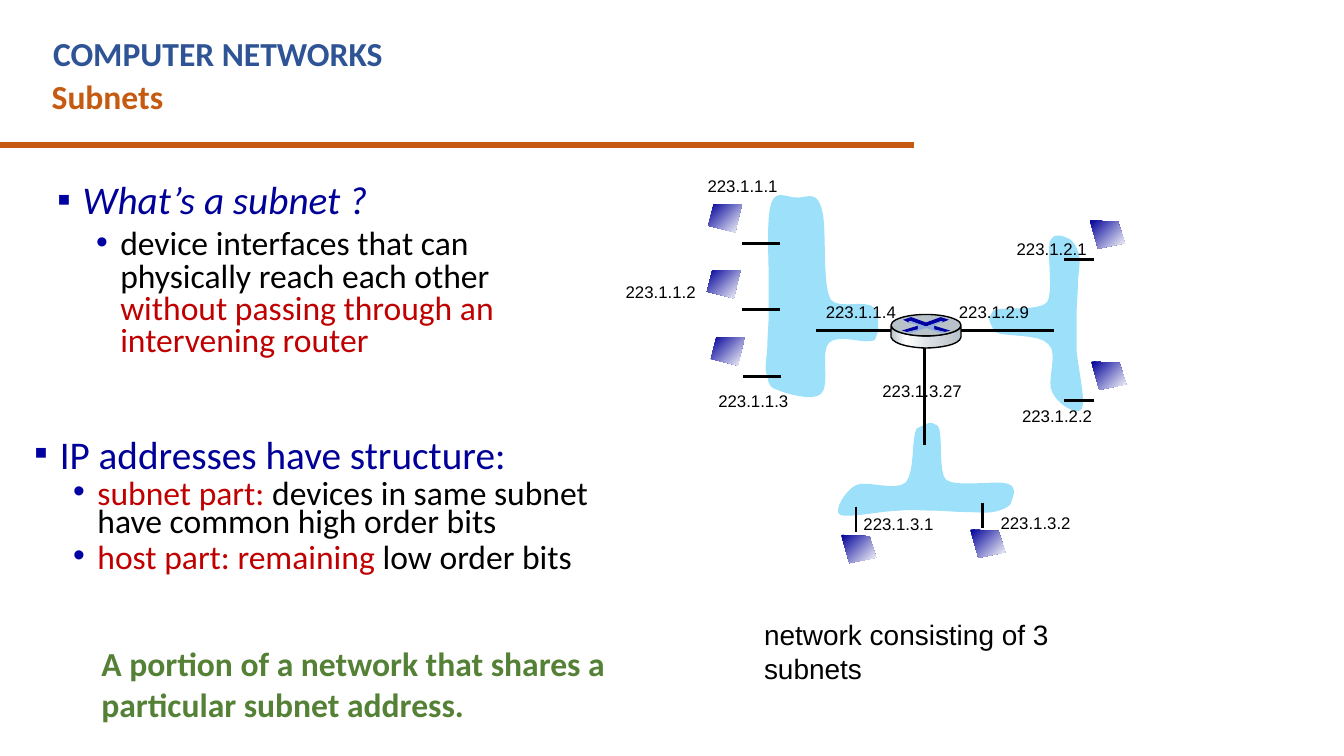
from lxml import etree
from pptx import Presentation
from pptx.dml.color import RGBColor
from pptx.enum.shapes import MSO_CONNECTOR, MSO_SHAPE
from pptx.oxml.ns import qn
from pptx.util import Cm, Pt

STRAIGHT = MSO_CONNECTOR.STRAIGHT
OVAL = MSO_SHAPE.OVAL

BLACK = RGBColor(0x00, 0x00, 0x00)
WHITE = RGBColor(0xFF, 0xFF, 0xFF)
ORANGE = RGBColor(0xC5, 0x5A, 0x11)
TITLE_BLUE = RGBColor(0x2F, 0x54, 0x96)
NAVY = RGBColor(0x00, 0x00, 0x99)
BULLET_BLUE = RGBColor(0x00, 0x00, 0xA3)
RED = RGBColor(0xC0, 0x00, 0x00)
GREEN = RGBColor(0x54, 0x81, 0x35)
SKY = RGBColor(0x9C, 0xE0, 0xFA)
STEEL = RGBColor(0xB8, 0xC2, 0xC9)
PALE_STEEL = RGBColor(0xD6, 0xDC, 0xE0)
SOFT_BLUE = RGBColor(0x8D, 0xA9, 0xDB)

HOST_GRADIENT = [(0, NAVY), (100, WHITE)]
ROUTER_GRADIENT = [(0, STEEL), (21, WHITE), (60, PALE_STEEL), (100, STEEL)]

# Subnet clouds: a start point, then three points for each Bezier curve
LEFT_CLOUD = [
    (1.53, 1.34), (1.51, 1.19), (1.25, 1.32), (1.18, 1.23),
    (1.11, 1.1), (1.16, 0.66), (1.11, 0.54), (1.07, 0.41), (0.99, 0.48), (0.92, 0.47),
    (0.86, 0.47), (0.77, 0.41), (0.74, 0.51), (0.7, 0.61), (0.72, 0.94), (0.72, 1.08),
    (0.72, 1.21), (0.72, 1.25), (0.72, 1.33), (0.72, 1.41), (0.71, 1.49), (0.71, 1.56),
    (0.71, 1.63), (0.69, 1.72), (0.7, 1.77), (0.72, 1.83), (0.71, 1.88), (0.78, 1.9),
    (0.85, 1.93), (1.05, 1.99), (1.11, 1.93), (1.18, 1.87), (1.1, 1.61), (1.17, 1.55),
    (1.24, 1.48), (1.45, 1.57), (1.51, 1.53), (1.53, 1.47), (1.54, 1.48), (1.53, 1.34)]
RIGHT_CLOUD = [
    (2.4, 1.47), (2.47, 1.51), (2.73, 1.48), (2.8, 1.56),
    (2.88, 1.63), (2.78, 1.84), (2.83, 1.92), (2.87, 2.01), (3.02, 2.1), (3.05, 2.04),
    (3.08, 1.99), (3.02, 1.72), (3.01, 1.61), (3.01, 1.49), (3.01, 1.43), (3.01, 1.35),
    (3.01, 1.27), (3.02, 1.19), (3.02, 1.12), (3.02, 1.05), (3.04, 0.96), (3.03, 0.91),
    (3.02, 0.85), (2.99, 0.8), (2.96, 0.78), (2.92, 0.76), (2.84, 0.72), (2.81, 0.8),
    (2.79, 0.88), (2.84, 1.19), (2.79, 1.25), (2.73, 1.32), (2.44, 1.28), (2.39, 1.31),
    (2.36, 1.38), (2.34, 1.35), (2.4, 1.47)]
BOTTOM_CLOUD = [
    (1.82, 2.19), (1.78, 2.26), (1.81, 2.51), (1.74, 2.59),
    (1.66, 2.66), (1.45, 2.57), (1.37, 2.61), (1.29, 2.65), (1.2, 2.8), (1.25, 2.83),
    (1.3, 2.86), (1.57, 2.8), (1.69, 2.8), (1.8, 2.79), (1.86, 2.8), (1.94, 2.8),
    (2.02, 2.8), (2.1, 2.81), (2.17, 2.81), (2.25, 2.81), (2.33, 2.82), (2.39, 2.81),
    (2.44, 2.8), (2.5, 2.78), (2.52, 2.75), (2.53, 2.71), (2.58, 2.63), (2.5, 2.6),
    (2.42, 2.57), (2.11, 2.63), (2.04, 2.57), (1.98, 2.52), (2.02, 2.23), (1.98, 2.17),
    (1.92, 2.14), (1.94, 2.13), (1.82, 2.19)]
HOST_LEANING_LEFT = [(0.25, 0), (0.04, 0), (0, 0.16), (0.2, 0.21)]
HOST_LEANING_RIGHT = [(0, 0), (0.21, 0.01), (0.26, 0.17), (0.06, 0.21)]


def length(inches):
    return Cm(inches * 2.54)


def curve(points, steps=8):
    """Sample a chain of cubic Bezier curves."""
    samples = [points[0]]
    for first in range(0, len(points) - 1, 3):
        for step in range(1, steps + 1):
            t = step / steps
            weights = ((1 - t) ** 3, 3 * t * (1 - t) ** 2, 3 * t * t * (1 - t), t ** 3)
            pairs = list(zip(weights, points[first:first + 4]))
            samples.append(tuple(sum(w * point[axis] for w, point in pairs) for axis in (0, 1)))
    return samples


def add_gradient(shape, stops, clockwise_angle):
    shape.fill.gradient()
    shape.fill.gradient_angle = (360 - clockwise_angle) % 360
    stop_list = shape._element.spPr.find(qn("a:gradFill")).find(qn("a:gsLst"))
    stop_list.clear()
    for position, color in stops:
        stop = etree.SubElement(stop_list, qn("a:gs"), pos=str(position * 1000))
        etree.SubElement(stop, qn("a:srgbClr"), val=str(color))


def style_shape(shape, color=None, outlined=False):
    shape.shadow.inherit = False
    if color is not None:
        shape.fill.solid()
        shape.fill.fore_color.rgb = color
    if outlined:
        shape.line.color.rgb = BLACK
        shape.line.width = Pt(0.75)
    else:
        shape.line.fill.background()


def add_outline(slide, left, top, points, color=None, outlined=False):
    corners = [(length(left + x), length(top + y)) for x, y in points]
    builder = slide.shapes.build_freeform(*corners[0], scale=1.0)
    builder.add_line_segments(corners[1:], close=True)
    shape = builder.convert_to_shape()
    style_shape(shape, color, outlined)
    return shape


def add_line(slide, x1, y1, x2, y2, color=BLACK, width=1.5):
    line = slide.shapes.add_connector(STRAIGHT, *map(length, (x1, y1, x2, y2)))
    line.line.color.rgb = color
    line.line.width = Pt(width)
    etree.SubElement(line._element.spPr, qn("a:effectLst"))


def add_text_box(slide, left, top, width, height):
    frame = slide.shapes.add_textbox(*map(length, (left, top, width, height))).text_frame
    frame.word_wrap = True
    frame.margin_left = frame.margin_right = Cm(0.19)
    frame.margin_top = frame.margin_bottom = Cm(0.09)
    return frame


def add_run(paragraph, text, size, color, font="Calibri", bold=False, italic=False):
    run = paragraph.add_run()
    run.text = text
    run.font.name = font
    run.font.size = Pt(size)
    run.font.color.rgb = color
    run.font.bold = bold
    run.font.italic = italic


def add_text(slide, box, *run_style, **run_options):
    add_run(add_text_box(slide, *box).paragraphs[0], *run_style, **run_options)


def add_header(slide, left, top, width):
    add_line(slide, left, top + 0.87, left + 6.81, top + 0.87, ORANGE, 3)
    add_text(slide, (left + 0.33, top, width, 0.38), "COMPUTER NETWORKS", 18, TITLE_BLUE, bold=True)
    add_text(slide, (left + 0.32, top + 0.32, width, 0.38), "Subnets", 18, ORANGE, bold=True)


def add_bullet(paragraph, level, spacing):
    margin, hanging, mark = [(0.19, 0.19, "▪"), (0.47, 0.18, "•")][level]
    properties = paragraph._p.get_or_add_pPr()
    properties.set("marL", str(length(margin)))
    properties.set("indent", str(-length(hanging)))
    bullet_color = etree.SubElement(properties, qn("a:buClr"))
    etree.SubElement(bullet_color, qn("a:srgbClr"), val=str(BULLET_BLUE))
    etree.SubElement(properties, qn("a:buFont"), typeface="Arial")
    etree.SubElement(properties, qn("a:buChar"), char=mark)
    paragraph.level = level
    paragraph.line_spacing = spacing
    if level:
        paragraph.space_before = Pt(4)


def add_bullet_list(slide, box, heading, items, spacing, italic=False):
    frame = add_text_box(slide, *box)
    paragraph = frame.paragraphs[0]
    add_bullet(paragraph, 0, spacing)
    add_run(paragraph, heading, 21, NAVY, italic=italic)
    for item in items:
        paragraph = frame.add_paragraph()
        add_bullet(paragraph, 1, spacing)
        for text, color in item:
            add_run(paragraph, text, 18, color)


def add_router(slide, left, top):
    # Cylinder side and lid
    side = [(0.52, 0.09)] + curve([
        (0.52, 0.17), (0.51, 0.23), (0.35, 0.25), (0.26, 0.25), (0.18, 0.25), (0.02, 0.23),
        (0, 0.17), (0, 0.15), (0, 0.11), (0, 0.09), (0.02, 0.14), (0.17, 0.16),
        (0.26, 0.16), (0.35, 0.16), (0.5, 0.14), (0.52, 0.09)])
    add_gradient(add_outline(slide, left, top, side, outlined=True), ROUTER_GRADIENT, 0)
    lid = slide.shapes.add_shape(OVAL, *map(length, (left, top, 0.52, 0.16)))
    style_shape(lid, STEEL, outlined=True)
    # Crossing arrows
    chevron = [(0.37, 0.02), (0.43, 0.04), (0.38, 0.06), (0.37, 0.05), (0.26, 0.09),
               (0.15, 0.05), (0.13, 0.06), (0.09, 0.04), (0.15, 0.02), (0.26, 0.06)]
    right_arrow = [(0.31, 0.08), (0.44, 0.12), (0.4, 0.13), (0.31, 0.11)]
    left_arrow = [(0.52 - x, y) for x, y in right_arrow]
    cross = [(0.13, 0.05), (0.15, 0.05), (0.26, 0.09), (0.37, 0.05), (0.39, 0.05),
             (0.32, 0.08), (0.32, 0.11), (0.4, 0.13), (0.38, 0.14), (0.26, 0.1),
             (0.14, 0.14), (0.12, 0.13), (0.2, 0.11), (0.2, 0.08), (0.13, 0.06)]
    for points in (chevron, right_arrow, left_arrow):
        add_outline(slide, left, top, points, BULLET_BLUE)
    add_outline(slide, left, top, cross, SOFT_BLUE)


def add_network(slide, left, top):
    for cloud in (BOTTOM_CLOUD, RIGHT_CLOUD, LEFT_CLOUD):
        add_outline(slide, left, top, curve(cloud), SKY)
    # Interface addresses
    for address, x, y, width in [
            ("1.1", 0.19, 0.27, 0.7), ("1.2", -0.42, 1.06, 0.78), ("1.3", 0.27, 1.87, 0.7),
            ("1.4", 1.07, 1.21, 0.7), ("2.9", 2.06, 1.21, 0.7), ("2.2", 2.53, 1.98, 0.7),
            ("2.1", 2.49, 0.74, 0.7), ("3.2", 2.37, 2.78, 0.7), ("3.1", 1.35, 2.79, 0.7),
            ("3.27", 1.49, 1.8, 0.78)]:
        add_text(slide, (left + x, top + y, width, 0.23), "223.1." + address, 9, BLACK, font="Arial")
    # Hosts
    for outline, places in [
            (HOST_LEANING_LEFT, [(0.27, 0.52), (0.26, 1.01), (0.29, 1.51)]),
            (HOST_LEANING_RIGHT, [(3.11, 0.64), (3.12, 1.69), (2.22, 2.94), (1.26, 2.98)])]:
        for x, y in places:
            add_gradient(add_outline(slide, left + x, top + y, outline), HOST_GRADIENT, 45)
    # Host links, then router links
    for x, y, across, down in [
            (0.52, 0.81, 0.28, 0), (0.52, 1.3, 0.28, 0), (0.53, 1.8, 0.28, 0),
            (2.92, 0.93, 0.22, 0), (2.92, 1.98, 0.22, 0),
            (1.37, 2.77, 0, 0.19), (2.31, 2.74, 0, 0.19),
            (1.88, 1.58, 0, 0.73), (1.07, 1.46, 0.65, 0), (2.04, 1.46, 0.8, 0)]:
        add_line(slide, left + x, top + y, left + x + across, top + y + down)
    add_router(slide, left + 1.63, top + 1.34)
    add_text(slide, (left + 0.61, top + 3.56, 2.98, 0.58),
             "network consisting of 3 subnets", 15, BLACK, font="Arial")


def main():
    presentation = Presentation()
    presentation.slide_width = Cm(25.4)
    presentation.slide_height = presentation.slide_width * 9 // 16
    slide = presentation.slides.add_slide(presentation.slide_layouts[6])
    add_header(slide, -0.01, 0.21, 6.5)
    add_network(slide, 5, 1)
    add_bullet_list(slide, (0.35, 1.34, 3.72, 1.82), "What’s a subnet ?", [
        [("device interfaces that can physically reach each other ", BLACK),
         ("without passing through an intervening router", RED)]], 0.8, italic=True)
    add_bullet_list(slide, (0.18, 3.26, 4.41, 1.44), "IP addresses have structure:", [
        [("subnet part: ", RED), ("devices in same subnet have common high order bits", BLACK)],
        [("host part: remaining", RED), (" low order bits", BLACK)]], 0.7)
    add_text(slide, (0.68, 4.75, 3.9, 0.68),
             "A portion of a network that shares a particular subnet address.", 18, GREEN, bold=True)
    presentation.save("out.pptx")


if __name__ == "__main__":
    main()
